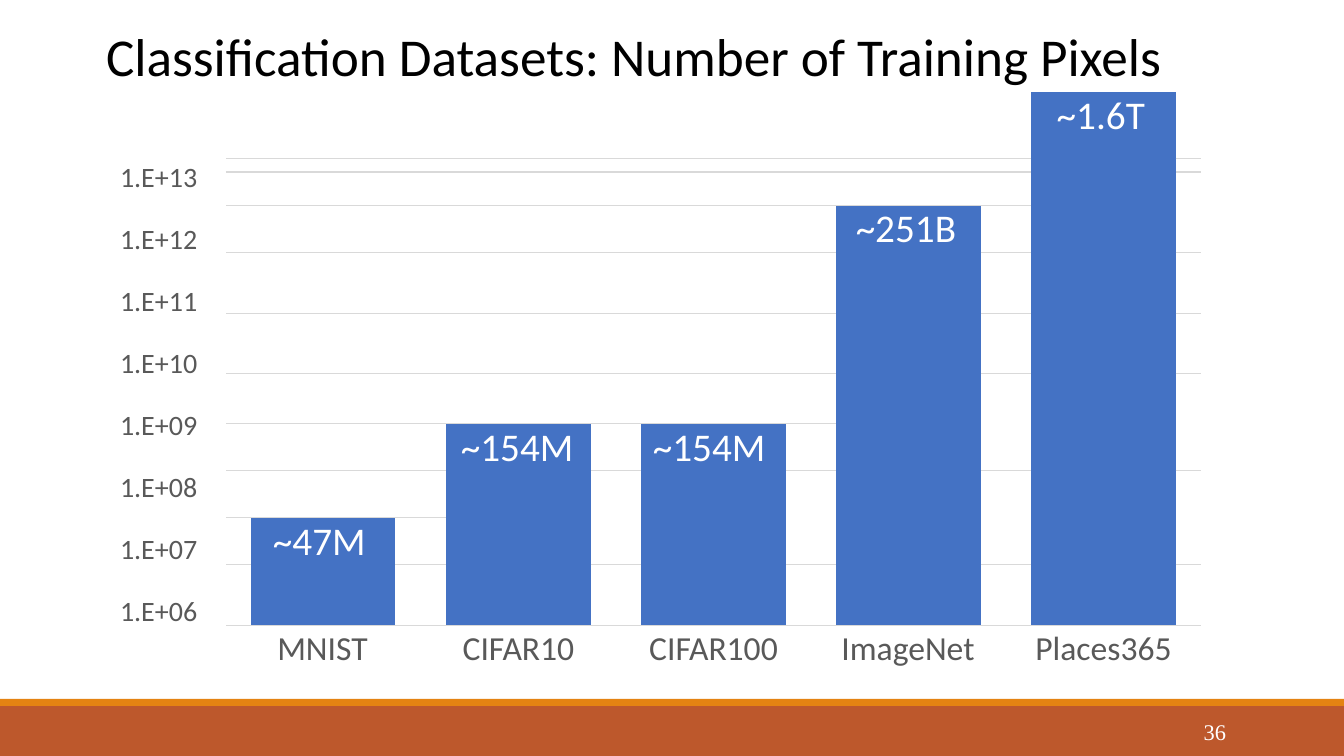
from dataclasses import dataclass

import lxml.etree
import pptx
import pptx.dml.color
import pptx.enum.shapes
import pptx.enum.text
import pptx.oxml.ns
import pptx.util

RGBColor = pptx.dml.color.RGBColor
PP_ALIGN = pptx.enum.text.PP_ALIGN
MSO_ANCHOR = pptx.enum.text.MSO_ANCHOR
qn = pptx.oxml.ns.qn

BLACK = RGBColor(0x00, 0x00, 0x00)
WHITE = RGBColor(0xFF, 0xFF, 0xFF)
GREY = RGBColor(0x59, 0x59, 0x59)
GRID = RGBColor(0xD9, 0xD9, 0xD9)
BLUE = RGBColor(0x44, 0x72, 0xC4)
RUST = RGBColor(0xBD, 0x58, 0x2C)
ORANGE = RGBColor(0xE4, 0x83, 0x12)

EMU_PER_PX = 914400 / 100.8
NO_STYLE = "{2D5ABB26-0587-4C30-8999-92F81FD0307C}"
GRID_PT = 0.75


@dataclass
class Bar:
    name: str
    name_width: int
    value: str
    inset: int
    row: int
    col: int


BARS = [
    Bar("MNIST", 93, "~47M", 22, 8, 1),
    Bar("CIFAR10", 115, "~154M", 15, 6, 3),
    Bar("CIFAR100", 131, "~154M", 12, 6, 5),
    Bar("ImageNet", 136, "~251B", 20, 2, 7),
    Bar("Places365", 139, "~1.6T", 26, 0, 9),
]
COLS = [25, 144, 51, 145, 50, 145, 50, 145, 50, 145, 25]
ROWS = [66, 47, 47, 61, 61, 50, 47, 47, 47, 61]
TALL_GAP_ROWS = (1, 5, 7)  # gaps between bars span two rows from here
LEFT, TOP = 226, 92


def px(n: float) -> pptx.util.Emu:
    return pptx.util.Emu(round(n * EMU_PER_PX))


def set_font(p, size: float, color: RGBColor, name: str = "Calibri") -> None:
    p.font.size = pptx.util.Pt(size)
    p.font.name = name
    p.font.color.rgb = color


def zero_insets(box, left: int = 0) -> None:
    box.margin_left = px(left)
    box.margin_top = box.margin_right = box.margin_bottom = 0


def add_text(s, x: int, y: int, w: int, h: int, lines: list[str], size: float,
             color: RGBColor, align=PP_ALIGN.LEFT, name: str = "Calibri",
             gap: float = 0):
    tf = s.shapes.add_textbox(px(x), px(y), px(w), px(h)).text_frame
    zero_insets(tf)
    for i, line in enumerate(lines):
        p = tf.add_paragraph() if i else tf.paragraphs[0]
        p.text = line
        p.alignment = align
        if i:
            p.space_before = pptx.util.Pt(gap)
        set_font(p, size, color, name)
    return tf


def add_band(s, y: int, h: int, color: RGBColor) -> None:
    sp = s.shapes.add_shape(pptx.enum.shapes.MSO_SHAPE.RECTANGLE,
                            0, px(y), px(1344), px(h))
    sp.shadow.inherit = False
    sp.fill.solid()
    sp.fill.fore_color.rgb = color
    sp.line.fill.background()


def add_bottom_border(cell) -> None:
    tc_pr = cell._tc.get_or_add_tcPr()
    ln = lxml.etree.Element(qn("a:lnB"), w=str(pptx.util.Pt(GRID_PT)))
    fill = lxml.etree.SubElement(ln, qn("a:solidFill"))
    lxml.etree.SubElement(fill, qn("a:srgbClr"), val=str(GRID))
    tc_pr.insert(0, ln)


def add_bar_table(s) -> None:
    frame = s.shapes.add_table(len(ROWS), len(COLS), px(LEFT), px(TOP),
                               px(sum(COLS)), px(sum(ROWS)))
    table = frame.table
    table.first_row = table.horz_banding = False
    table._tbl.tblPr.find(qn("a:tableStyleId")).text = NO_STYLE
    for col, w in zip(table.columns, COLS):
        col.width = px(w)
    for row, h in zip(table.rows, ROWS):
        row.height = px(h)

    # Merge bars, the empty area to their left, and the tall gaps
    for bar in BARS:
        table.cell(bar.row, bar.col).merge(table.cell(len(ROWS) - 1, bar.col))
    for r in range(len(ROWS)):
        first = min(bar.col for bar in BARS if bar.row <= r)
        if first > 1:
            table.cell(r, 0).merge(table.cell(r, first - 1))
        if r in TALL_GAP_ROWS:
            for c in range(first + 1, len(COLS), 2):
                table.cell(r, c).merge(table.cell(r + 1, c))

    # Gridlines
    for cell in table.iter_cells():
        zero_insets(cell)
        cell.fill.background()
        if not cell.is_spanned:
            add_bottom_border(cell)

    # Bar fills and values
    for bar in BARS:
        cell = table.cell(bar.row, bar.col)
        zero_insets(cell, bar.inset)
        cell.fill.solid()
        cell.fill.fore_color.rgb = BLUE
        p = cell.text_frame.paragraphs[0]
        p.text = bar.value
        set_font(p, 28, WHITE)


def main() -> None:
    prs = pptx.Presentation()
    prs.slide_width, prs.slide_height = px(1344), px(756)
    s = prs.slides.add_slide(prs.slide_layouts[5])

    # Footer
    add_band(s, 706, 50, RUST)
    add_band(s, 699, 7, ORANGE)
    tf = add_text(s, 1092, 712, 134, 40, ["36"], 16, WHITE,
                  PP_ALIGN.RIGHT, "Times New Roman")
    tf.word_wrap = True
    tf.vertical_anchor = MSO_ANCHOR.MIDDLE

    # Upper gridline
    line = s.shapes.add_connector(pptx.enum.shapes.MSO_CONNECTOR.STRAIGHT,
                                  px(LEFT), px(172), px(LEFT + sum(COLS)), px(172))
    line.line.color.rgb = GRID
    line.line.width = pptx.util.Pt(GRID_PT)
    lxml.etree.SubElement(line._element.spPr, qn("a:effectLst"))

    # Axis labels
    scale = [f"1.E+{n:02}" for n in range(13, 5, -1)]
    add_text(s, 120, 160, 81, 461, scale, 20, GREY, gap=20.2)
    for bar in BARS:
        center = LEFT + sum(COLS[:bar.col]) + COLS[bar.col] / 2
        add_text(s, round(center - bar.name_width / 2), 627, bar.name_width, 36,
                 [bar.name], 24, GREY, PP_ALIGN.CENTER)

    add_bar_table(s)

    # Title
    title = s.shapes.title
    title.left, title.top, title.width, title.height = px(58), px(23), px(1234), px(64)
    tf = title.text_frame
    zero_insets(tf, 48)
    tf.word_wrap = True
    tf.auto_size = pptx.enum.text.MSO_AUTO_SIZE.NONE
    tf.vertical_anchor = MSO_ANCHOR.TOP
    p = tf.paragraphs[0]
    p.text = "Classification Datasets: Number of Training Pixels"
    p.alignment = PP_ALIGN.LEFT
    set_font(p, 38, BLACK)

    prs.save("out.pptx")


if __name__ == "__main__":
    main()
